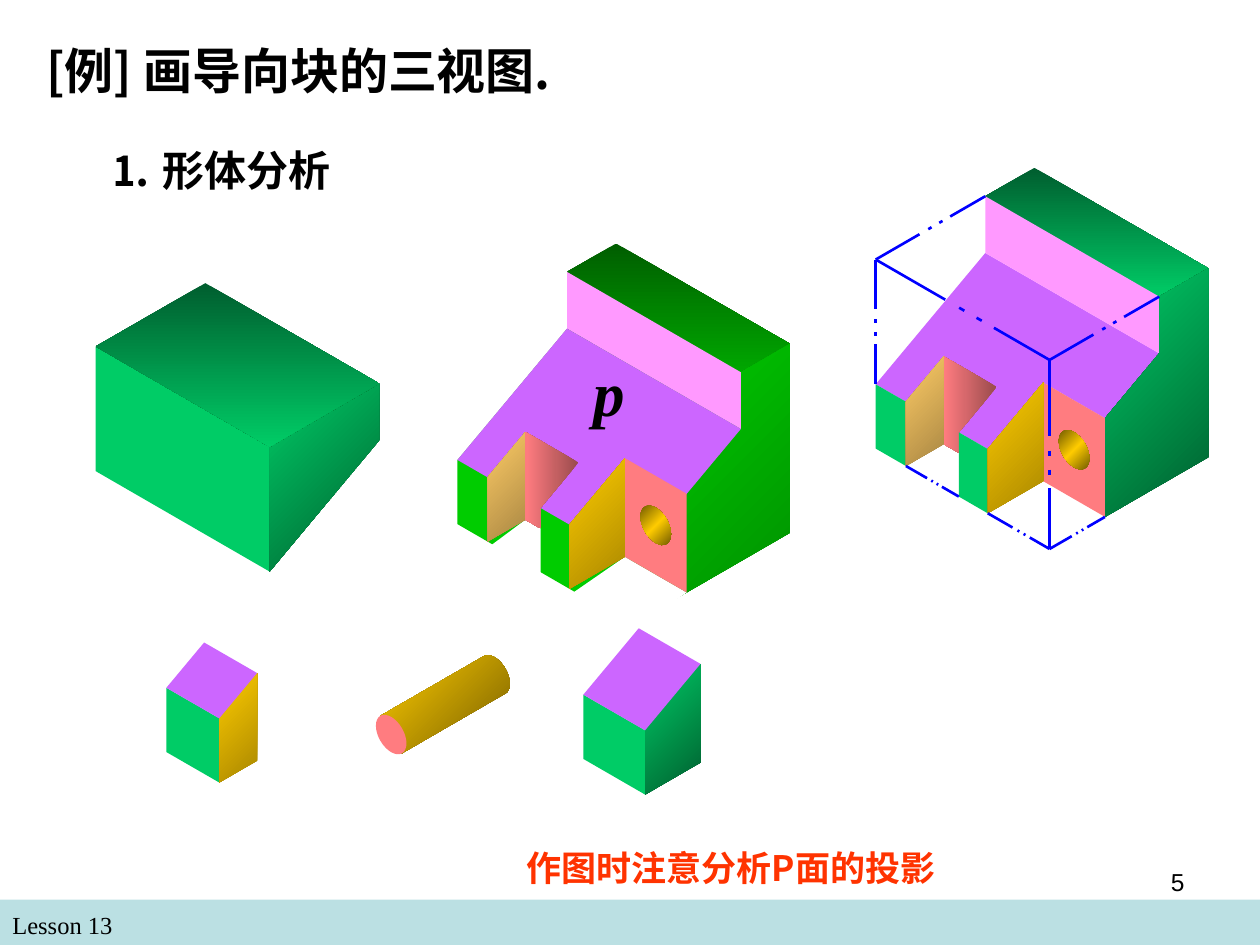
from collections import namedtuple
from math import cos, pi, sin, tan

from lxml.etree import SubElement
from pptx import Presentation
from pptx.dml.color import RGBColor
from pptx.enum.shapes import MSO_CONNECTOR, MSO_SHAPE
from pptx.enum.text import MSO_AUTO_SIZE, PP_ALIGN
from pptx.oxml.ns import qn
from pptx.util import Inches, Pt

BLACK = RGBColor(0, 0, 0)
WHITE = RGBColor(0xFF, 0xFF, 0xFF)
BAND = RGBColor(0xBB, 0xE0, 0xE3)
RED = RGBColor(0xFF, 0x33, 0x00)
BLUE = RGBColor(0x00, 0x00, 0xFF)
PURPLE = RGBColor(0xCC, 0x66, 0xFF)
PINK = RGBColor(0xFF, 0x99, 0xFF)
CORAL = RGBColor(0xFF, 0x7C, 0x80)
DARK_CORAL = RGBColor(0x9A, 0x4B, 0x4D)
SEA = RGBColor(0x00, 0xCC, 0x66)
DARK_SEA = RGBColor(0x00, 0x5E, 0x2F)
GREEN = RGBColor(0x00, 0xCC, 0x00)
DARK_GREEN = RGBColor(0x00, 0x5E, 0x00)
MID_GREEN = RGBColor(0x00, 0x8F, 0x00)
GOLD = RGBColor(0xFF, 0xCC, 0x00)
DARK_GOLD = RGBColor(0x75, 0x5E, 0x00)
OCHRE = RGBColor(0xA9, 0x87, 0x00)
SAND = RGBColor(0xFF, 0xCC, 0x66)
DARK_SAND = RGBColor(0xA9, 0x87, 0x43)

CJK = "Noto Sans CJK SC"
SERIF = "Times New Roman"

# Angle runs clockwise from left-to-right, colours are evenly spread.
Gradient = namedtuple("Gradient", "angle colors")
SEA_TOP = Gradient(90, (DARK_SEA, SEA))
SEA_SIDE = Gradient(225, (DARK_SEA, SEA))
GOLD_SIDE = Gradient(225, (OCHRE, GOLD))

# The block in isometric axes: u to the lower right, v to the upper right, h up.
# u and v count the horizontal inches they cover on the page.
WIDTH, DEPTH, HEIGHT = 1.38, 1.26, 1.5
NOSE, STEP, RIDGE = 0.51, 1.05, 0.87  # face P climbs from NOSE to STEP at depth RIDGE
SLOT_LEFT, SLOT_RIGHT, SLOT_DEPTH = 0.24, 0.66, 0.3
CORNER_LEFT, CORNER_DEPTH = 0.89, 0.44
ISO_SLOPE = tan(pi / 6)
RADIUS = 0.14
MARGIN = 0.05

BLOCK_ORIGIN = (3.63, 4.16)
FINISHED_ORIGIN = (6.95, 3.56)
UPPER_ORIGIN = (0.76, 4.25)
SLOT_ORIGIN = (1.08, 5.83)
ROD_ORIGIN = (1.53, 5.82)
CORNER_ORIGIN = (3.74, 5.51)


def project(origin, point):
    """Page position, in inches, of a (u, v, h) point."""
    u, v, h = point
    return origin[0] + u + v, origin[1] + ISO_SLOPE * (u - v) - h


def p_height(v):
    return NOSE + (STEP - NOSE) * v / RIDGE


def on_p(u, v):
    return u, v, p_height(v)


def front_wall(left, right, v, low, high):
    return [(left, v, low), (left, v, high), (right, v, high), (right, v, low)]


def side_wall(u, near, far):
    """Wall across the depth; near and far are (v, low, high)."""
    (v1, low1, high1), (v2, low2, high2) = near, far
    return [(u, v1, low1), (u, v1, high1), (u, v2, high2), (u, v2, low2)]


def roof(left, right, near, far):
    """Level or sloping top; near and far are (v, h)."""
    return [(left, *near), (left, *far), (right, *far), (right, *near)]


def side_under_p(u, depth):
    return side_wall(u, (0, 0, NOSE), (depth, 0, p_height(depth)))


def arc(v, start, end, steps=32):
    """Part of the hole's circle, in degrees, in the upright plane at depth v."""
    center_u = (CORNER_LEFT + WIDTH) / 2
    center_h = p_height(CORNER_DEPTH) / 2
    turns = [(start + (end - start) * step / steps) * pi / 180 for step in range(steps)]
    return [(center_u + RADIUS * cos(pi / 6) * cos(turn), v, center_h + RADIUS * sin(turn))
            for turn in turns]


def prism_under_p(left, right, depth, side_paint):
    """Faces of a piece cut from the front, below face P."""
    return [(SEA, front_wall(left, right, 0, 0, NOSE)),
            (side_paint, side_under_p(right, depth)),
            (PURPLE, roof(left, right, (0, NOSE), (depth, p_height(depth))))]


# The floor edge behind the slot disappears where the right leg hides it.
SLOT_HIDDEN = (SLOT_RIGHT - SLOT_DEPTH, SLOT_DEPTH, 0)
SLOT_BACK = (Gradient(180, (DARK_CORAL, CORAL)), [
    on_p(SLOT_LEFT, SLOT_DEPTH), on_p(SLOT_RIGHT, SLOT_DEPTH), on_p(SLOT_RIGHT, 0),
    SLOT_HIDDEN, (SLOT_LEFT, SLOT_DEPTH, 0)])
SLOT_SIDE = (Gradient(225, (DARK_SAND, SAND)), side_under_p(SLOT_LEFT, SLOT_DEPTH))
CORNER_BACK = (CORAL, front_wall(CORNER_LEFT, WIDTH, CORNER_DEPTH, 0, p_height(CORNER_DEPTH)))
CORNER_SIDE = (GOLD_SIDE, side_under_p(CORNER_LEFT, CORNER_DEPTH))
HOLE = (Gradient(225, (DARK_GOLD, GOLD, DARK_GOLD)), arc(CORNER_DEPTH, 0, 360))
STEP_WALL = (PINK, front_wall(0, WIDTH, RIDGE, STEP, HEIGHT))

FINISHED_BLOCK = [
    (PURPLE, [on_p(0, RIDGE), on_p(0, 0), on_p(SLOT_LEFT, 0), on_p(SLOT_LEFT, SLOT_DEPTH),
              on_p(SLOT_RIGHT, SLOT_DEPTH), on_p(SLOT_RIGHT, 0), on_p(CORNER_LEFT, 0),
              on_p(CORNER_LEFT, CORNER_DEPTH), on_p(WIDTH, CORNER_DEPTH), on_p(WIDTH, RIDGE)]),
    CORNER_BACK, SLOT_BACK,
    (SEA_TOP, roof(0, WIDTH, (RIDGE, HEIGHT), (DEPTH, HEIGHT))),
    STEP_WALL,
    (SEA_SIDE, [(WIDTH, DEPTH, HEIGHT), (WIDTH, DEPTH, 0), (WIDTH, CORNER_DEPTH, 0),
                on_p(WIDTH, CORNER_DEPTH), on_p(WIDTH, RIDGE), (WIDTH, RIDGE, HEIGHT)]),
    (SEA, front_wall(0, SLOT_LEFT, 0, 0, NOSE)),
    (SEA, front_wall(SLOT_RIGHT, CORNER_LEFT, 0, 0, NOSE)),
    SLOT_SIDE, HOLE, CORNER_SIDE,
]
# A full block, then each cut: a white face clears what falls outside the remaining solid.
CARVED_BLOCK = [
    (Gradient(90, (DARK_GREEN, GREEN)), roof(0, WIDTH, (0, HEIGHT), (DEPTH, HEIGHT))),
    (Gradient(225, (MID_GREEN, GREEN)), side_wall(WIDTH, (0, 0, HEIGHT), (DEPTH, 0, HEIGHT))),
    (GREEN, front_wall(0, WIDTH, 0, 0, HEIGHT)),
    (WHITE, [(0, RIDGE, HEIGHT + MARGIN), on_p(0, RIDGE), on_p(0, 0),
             (0, -MARGIN, NOSE), (0, -MARGIN, HEIGHT + MARGIN)]),
    STEP_WALL,
    (PURPLE, roof(0, WIDTH, (0, NOSE), (RIDGE, STEP))),
    (WHITE, [(SLOT_LEFT, SLOT_DEPTH, 0), (SLOT_LEFT, 0, -MARGIN),
             (SLOT_RIGHT, 0, -MARGIN), SLOT_HIDDEN]),
    SLOT_SIDE, SLOT_BACK,
    (WHITE, roof(CORNER_LEFT, WIDTH, (0, -MARGIN), (CORNER_DEPTH, 0))),
    CORNER_BACK, CORNER_SIDE, HOLE,
]
UPPER_PIECE = [
    (SEA, front_wall(0, WIDTH, 0, NOSE, HEIGHT)),
    (SEA_SIDE, side_wall(WIDTH, (0, NOSE, HEIGHT), (RIDGE, STEP, HEIGHT))),
    (SEA_TOP, roof(0, WIDTH, (0, HEIGHT), (RIDGE, HEIGHT))),
]
SLOT_PIECE = prism_under_p(SLOT_LEFT, SLOT_RIGHT, SLOT_DEPTH, GOLD_SIDE)
CORNER_PIECE = prism_under_p(CORNER_LEFT, WIDTH, CORNER_DEPTH, SEA_SIDE)
# The rod's straight edges touch its circles at 135 and -45 degrees.
ROD_PIECE = [
    (Gradient(225, (DARK_GOLD, GOLD)),
     arc(DEPTH, 135, -45) + arc(CORNER_DEPTH, -45, 135, steps=1)
     + arc(CORNER_DEPTH, 135, -45, steps=1)),
    (CORAL, arc(CORNER_DEPTH, 0, 360)),
]
VIEWS = [
    (FINISHED_ORIGIN, FINISHED_BLOCK), (BLOCK_ORIGIN, CARVED_BLOCK),
    (UPPER_ORIGIN, UPPER_PIECE), (CORNER_ORIGIN, CORNER_PIECE),
    (ROD_ORIGIN, ROD_PIECE), (SLOT_ORIGIN, SLOT_PIECE),
]

TOP_LEFT, TOP_FRONT, FOOT = (0, 0, HEIGHT), (WIDTH, 0, HEIGHT), (WIDTH, 0, 0)
REMOVED_EDGES = [
    (TOP_LEFT, (0, RIDGE, HEIGHT)), (TOP_LEFT, TOP_FRONT), (TOP_LEFT, on_p(0, 0)),
    (TOP_FRONT, (WIDTH, RIDGE, HEIGHT)), (TOP_FRONT, FOOT),
    ((SLOT_LEFT, 0, 0), (SLOT_RIGHT, 0, 0)),
    ((CORNER_LEFT, 0, 0), FOOT), (FOOT, (WIDTH, CORNER_DEPTH, 0)),
]
# Dash, dot, dot, dash as fractions of an edge
DASHES = [(0, 0.4), (0.48, 0.51), (0.58, 0.61), (0.68, 1)]


def paint(shape, paint_kind):
    shape.shadow.inherit = False
    shape.line.fill.background()
    if isinstance(paint_kind, RGBColor):
        shape.fill.solid()
        shape.fill.fore_color.rgb = paint_kind
        return
    shape.fill.gradient()
    shape.fill.gradient_angle = 360 - paint_kind.angle
    stops = shape._element.spPr.find(".//" + qn("a:gsLst"))
    stops.clear()
    for index, color in enumerate(paint_kind.colors):
        position = 100000 * index // (len(paint_kind.colors) - 1)
        stop = SubElement(stops, qn("a:gs"), pos=str(position))
        SubElement(stop, qn("a:srgbClr"), val=str(color))


def add_solid(page, origin, faces):
    group = page.shapes.add_group_shape()
    for paint_kind, corners in faces:
        points = [tuple(map(Inches, project(origin, corner))) for corner in corners]
        builder = group.shapes.build_freeform(*points[0])
        builder.add_line_segments(points[1:], close=True)
        paint(builder.convert_to_shape(), paint_kind)


def add_removed_edges(page, origin, edges):
    group = page.shapes.add_group_shape()
    for start, end in edges:
        (x1, y1), (x2, y2) = project(origin, start), project(origin, end)
        for dash in DASHES:
            ends = [Inches(a + (b - a) * part) for part in dash for a, b in ((x1, x2), (y1, y2))]
            line = group.shapes.add_connector(MSO_CONNECTOR.STRAIGHT, *ends)
            line.line.color.rgb = BLUE
            line.line.width = Pt(1.5)
            SubElement(line._element.spPr, qn("a:effectLst"))


def add_text(page, place, text, size, font, color=BLACK, bold=False, italic=False,
             wrap=True, align=PP_ALIGN.LEFT, spacing=1.0):
    box = page.shapes.add_textbox(*map(Inches, place))
    box.text_frame.word_wrap = wrap
    box.text_frame.auto_size = MSO_AUTO_SIZE.NONE
    para = box.text_frame.paragraphs[0]
    para.alignment, para.line_spacing = align, spacing
    span = para.add_run()
    span.text = text
    span.font.size, span.font.name = Pt(size), font
    span.font.bold, span.font.italic = bold, italic
    span.font.color.rgb = color
    SubElement(span.font._element, qn("a:ea"), typeface=font)


def main():
    deck = Presentation()
    deck.slide_width, deck.slide_height = Inches(10), Inches(7.5)
    page = deck.slides.add_slide(deck.slide_layouts[6])
    band = page.shapes.add_shape(MSO_SHAPE.RECTANGLE, *map(Inches, (0, 7.14, 10, 0.36)))
    paint(band, BAND)
    add_text(page, (0, 7.17, 4.83, 0.34), "Lesson 13", 14, SERIF)
    for origin, faces in VIEWS:
        add_solid(page, origin, faces)
    add_removed_edges(page, FINISHED_ORIGIN, REMOVED_EDGES)
    add_text(page, (0.78, 1.1, 2.55, 0.5), "⒈ 形体分析", 24, CJK, bold=True)
    add_text(page, (4.61, 2.76, 0.45, 0.7), "p", 36, SERIF, bold=True, italic=True, wrap=False)
    add_text(page, (4.08, 6.5, 4.08, 0.6), "作图时注意分析P面的投影", 20, CJK, RED,
             bold=True, spacing=1.5)
    add_text(page, (0.27, 0.27, 4.84, 0.57), "[例] 画导向块的三视图.", 28, CJK,
             bold=True, wrap=False)
    add_text(page, (7.17, 6.83, 2.33, 0.52), "5", 14, "Arial", align=PP_ALIGN.RIGHT)
    deck.save("out.pptx")


if __name__ == "__main__":
    main()
